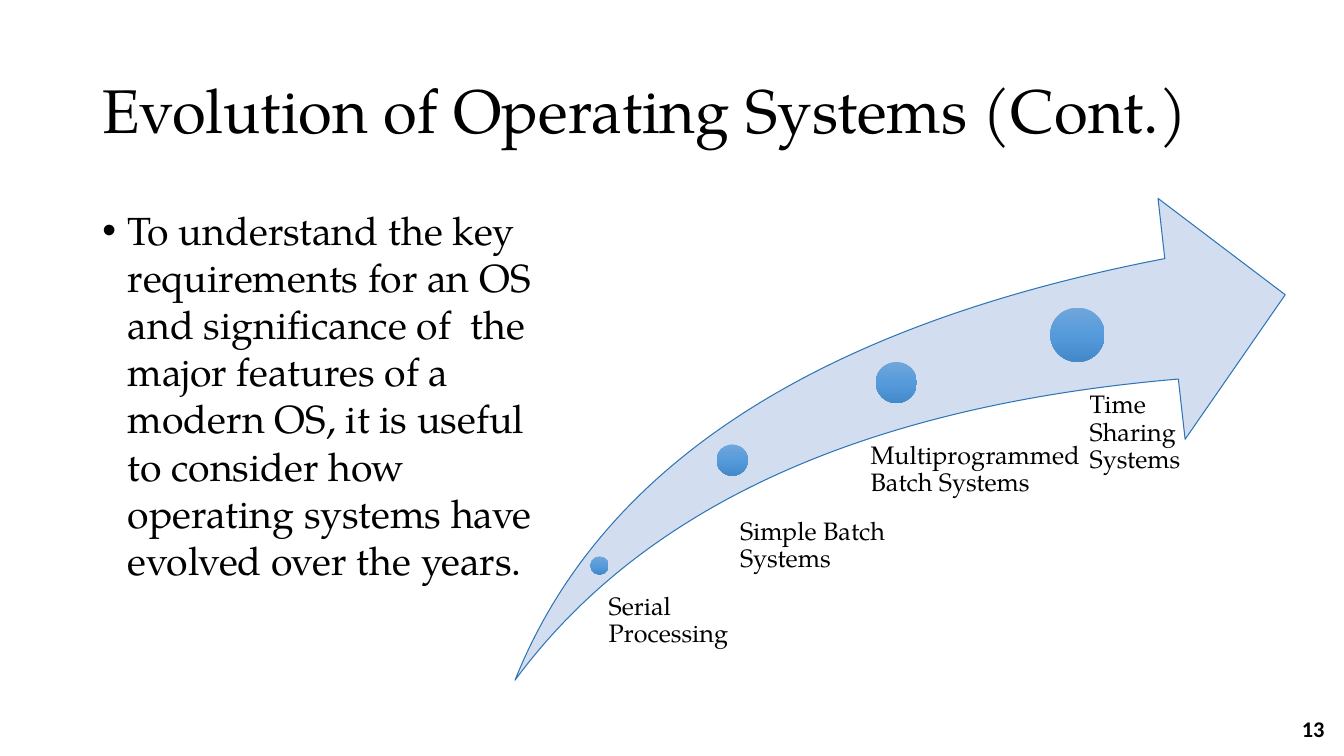
from copy import deepcopy

from lxml.etree import SubElement
from pptx import Presentation
from pptx.dml.color import RGBColor
from pptx.enum.shapes import MSO_SHAPE
from pptx.enum.text import MSO_ANCHOR, PP_ALIGN
from pptx.oxml.ns import qn
from pptx.util import Cm, Pt

SERIF = "TeX Gyre Pagella"
SANS = "Calibri"
INK = "000000"
PALE = "D2DEEF"
EDGE = "2E75B6"
SHADES = [(0, "71A6DB"), (0.5, "559BDB"), (1, "448ACA")]


def color(code):
    return RGBColor.from_string(code)


class Page:
    def __init__(self, slide):
        self.slide = slide

    def text(self, box, words, size, font=SERIF, bold=False, space=1.0,
             anchor=MSO_ANCHOR.TOP, align=PP_ALIGN.LEFT, inset=None, bullet=False):
        frame = self.slide.shapes.add_textbox(*map(Cm, box)).text_frame
        frame.word_wrap = True
        frame.vertical_anchor = anchor
        if inset is not None:
            frame.margin_left = Cm(inset)
            frame.margin_top = frame.margin_right = frame.margin_bottom = 0
        frame.text = words
        para = frame.paragraphs[0]
        para.alignment = align
        para.line_spacing = space
        if bullet:
            props = para._p.get_or_add_pPr()
            props.set("marL", str(Cm(0.64)))
            props.set("indent", str(-Cm(0.64)))
            SubElement(props, qn("a:buFont"), typeface="Arial")
            SubElement(props, qn("a:buChar"), char="•")
        for run in para.runs:
            run.font.name = font
            run.font.size = Pt(size)
            run.font.bold = bold
            run.font.color.rgb = color(INK)

    def shape(self, kind, box):
        item = self.slide.shapes.add_shape(kind, *map(Cm, box))
        item.shadow.inherit = False
        return item

    def arrow(self, box):
        item = self.shape(MSO_SHAPE.SWOOSH_ARROW, box)
        item.adjustments[0] = 0.25
        item.adjustments[1] = 0.25
        item.fill.solid()
        item.fill.fore_color.rgb = color(PALE)
        item.line.color.rgb = color(EDGE)
        item.line.width = Pt(0.75)

    def dot(self, left, top, size):
        item = self.shape(MSO_SHAPE.OVAL, (left, top, size, size))
        item.line.fill.background()
        item.fill.gradient()
        item.fill.gradient_angle = 270
        # A new gradient has two stops; add the third
        stops = item._element.spPr.find(qn("a:gradFill")).find(qn("a:gsLst"))
        stops.append(deepcopy(stops[0]))
        for stop, (place, code) in zip(item.fill.gradient_stops, SHADES):
            stop.position = place
            stop.color.rgb = color(code)


def main():
    deck = Presentation()
    deck.slide_width, deck.slide_height = Cm(33.87), Cm(19.05)
    page = Page(deck.slides.add_slide(deck.slide_layouts[6]))

    # Title, body and page number
    page.text((2.33, 1.02, 29.21, 3.68), "Evolution of Operating Systems (Cont.)",
              44, space=0.9, anchor=MSO_ANCHOR.MIDDLE)
    page.text((2.33, 5.08, 11.63, 12.09),
              "To understand the key requirements for an OS and significance of  the "
              "major features of a modern OS, it is useful to consider how operating "
              "systems have evolved over the years.", 28, bullet=True)
    page.text((26.01, 17.86, 7.62, 1.02), "13", 16, font=SANS, bold=True,
              anchor=MSO_ANCHOR.MIDDLE, align=PP_ALIGN.RIGHT)

    # Timeline: dot (left, top, size), label box, label inset, label
    page.arrow((12.98, 5, 19.41, 12.14))
    stages = [
        ((14.88, 14.02, 0.46), (15.11, 14.96, 3.33, 1.47), 0.23, "Serial Processing"),
        ((18.06, 11.2, 0.79), (18.24, 13.06, 4.09, 2.21), 0.41, "Simple Batch Systems"),
        ((22.07, 9.12, 1.04), (21.41, 11.15, 5.84, 1.96), 0.53,
         "Multiprogrammed Batch Systems"),
        ((26.47, 7.75, 1.37), (26.72, 9.88, 3.53, 2.77), 0.74, "Time Sharing Systems"),
    ]
    for spot, box, inset, label in stages:
        page.dot(*spot)
        page.text(box, label, 18, space=0.9, inset=inset)

    deck.save("out.pptx")


if __name__ == "__main__":
    main()
